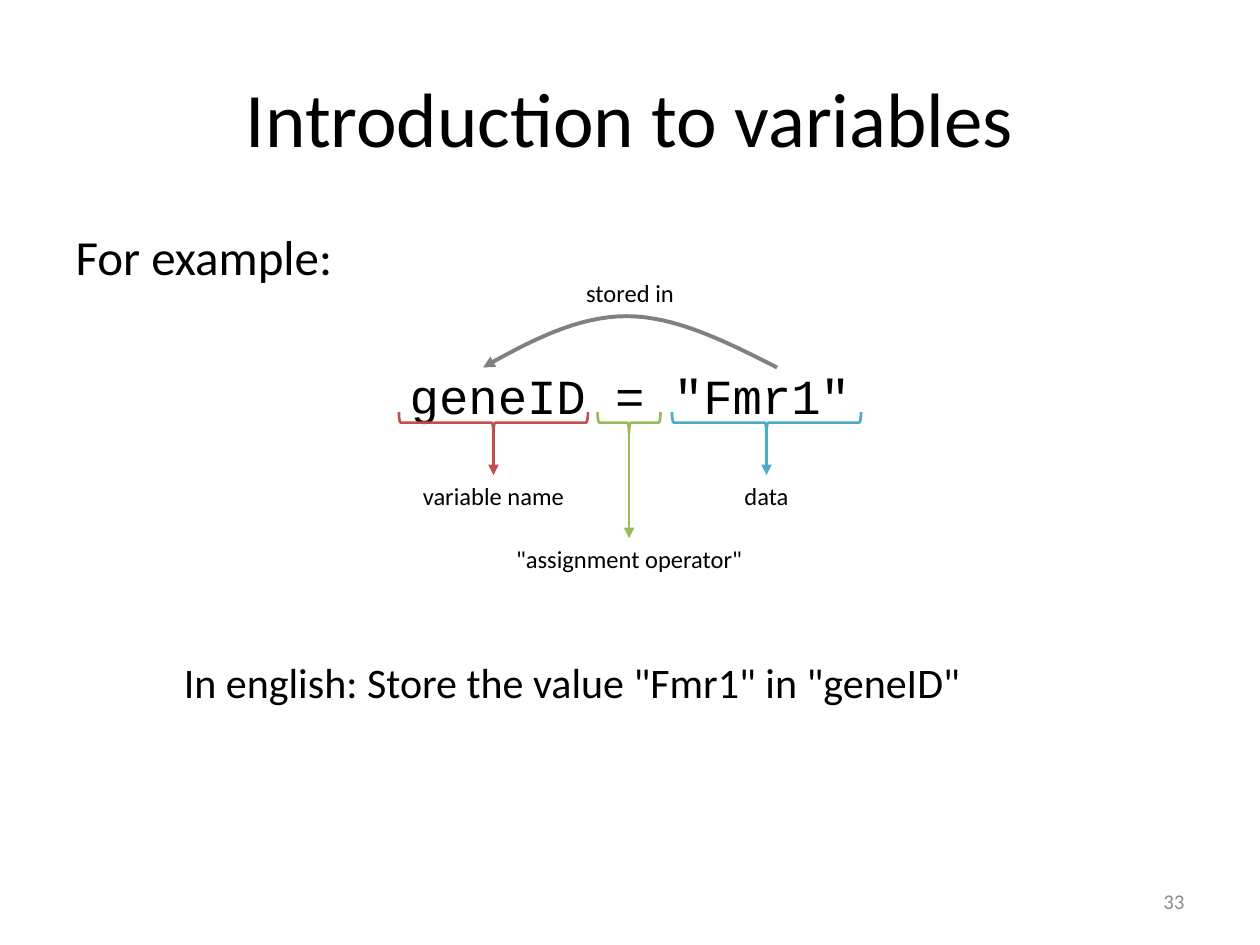
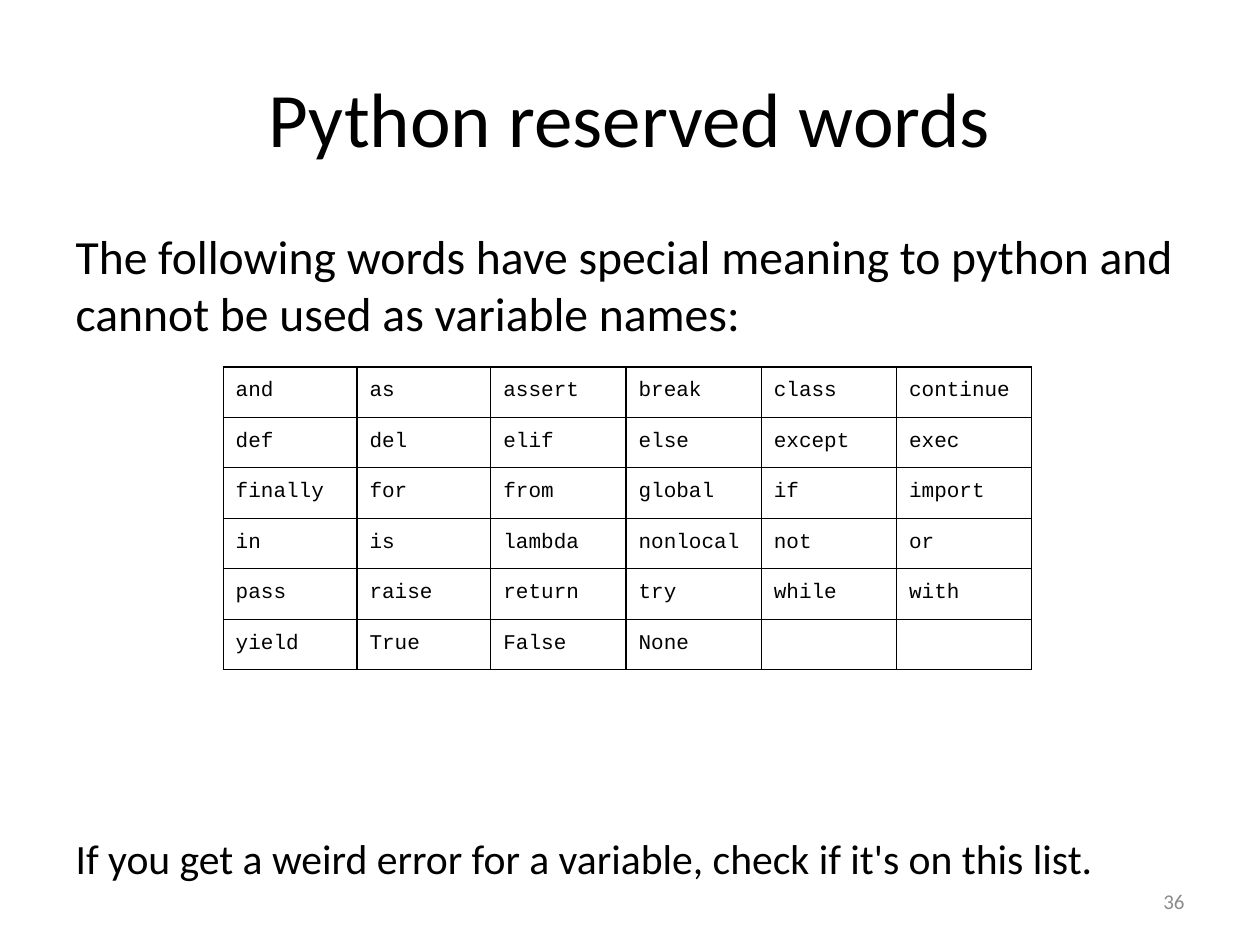
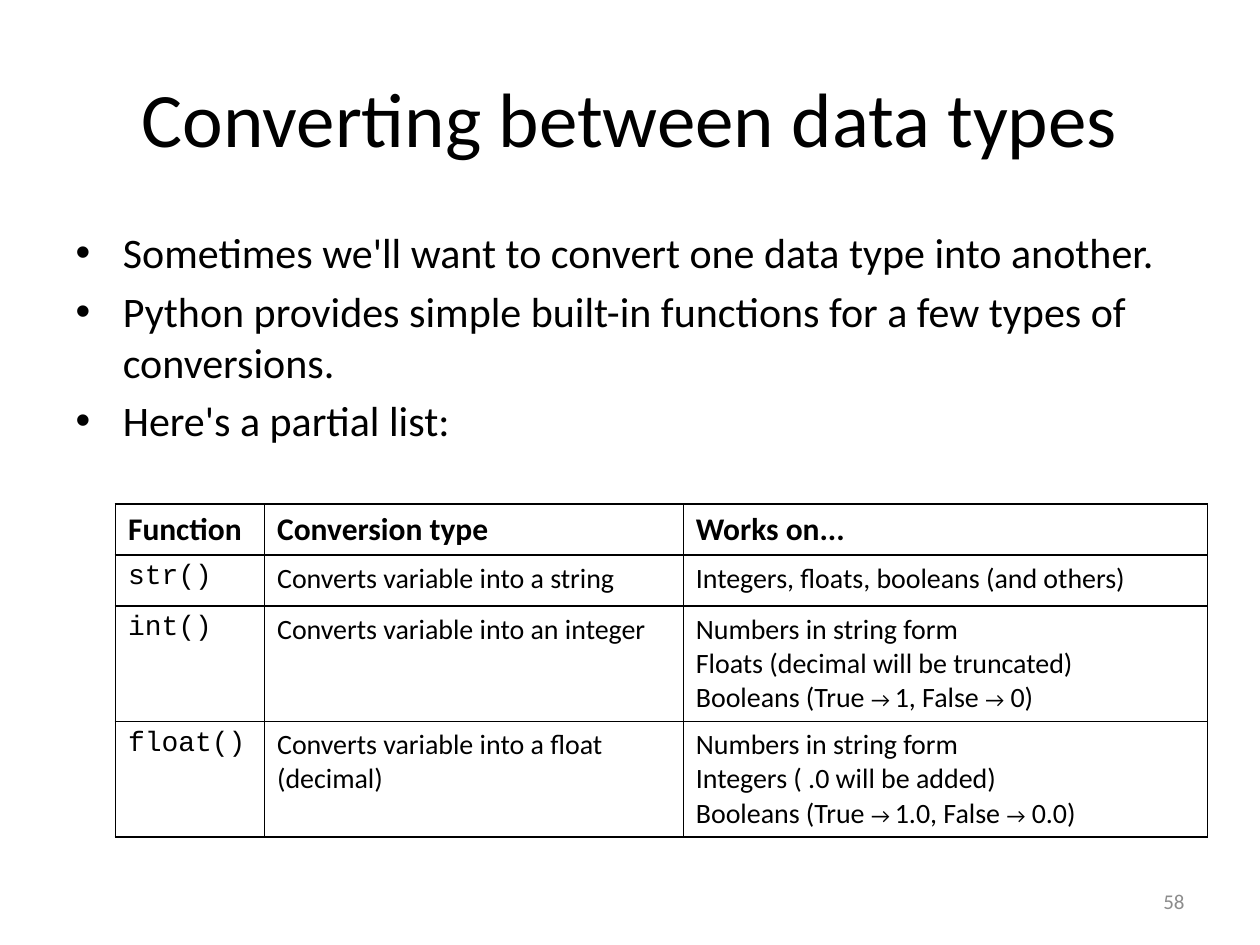
from lxml.etree import SubElement
from pptx import Presentation
from pptx.dml.color import RGBColor
from pptx.enum.shapes import MSO_CONNECTOR, MSO_SHAPE
from pptx.enum.text import MSO_ANCHOR, MSO_AUTO_SIZE, PP_ALIGN
from pptx.oxml.ns import qn
from pptx.util import Pt

LEFT, CENTER, RIGHT = PP_ALIGN.LEFT, PP_ALIGN.CENTER, PP_ALIGN.RIGHT
MIDDLE, NO_FIT = MSO_ANCHOR.MIDDLE, MSO_AUTO_SIZE.NONE
BRACE, STRAIGHT = MSO_SHAPE.LEFT_BRACE, MSO_CONNECTOR.STRAIGHT
BLACK, GRAY, PALE = "000000", "808080", "8C8C8C"
RED, GREEN, BLUE = "C0504D", "9BBB59", "4BACC6"
SANS, MONO = "Calibri", "Courier New"
rgb = RGBColor.from_string


def style(paras, size, font=SANS, hue=BLACK, bold=False):
    for para in paras:
        for run in para.runs:
            run.font.size = Pt(size)
            run.font.name = font
            run.font.bold = bold
            run.font.color.rgb = rgb(hue)


def grid(slide, left, top, cols, rows, weight):
    """Add an unfilled table with black rules around every cell."""
    frame = slide.shapes.add_table(len(rows), len(cols), Pt(left), Pt(top),
                                   Pt(sum(cols)), Pt(sum(rows)))
    table = frame.table
    table.first_row = table.horz_banding = False
    for col, width in zip(table.columns, cols):
        col.width = Pt(width)
    for row, height in zip(table.rows, rows):
        row.height = Pt(height)
    for cell in table.iter_cells():
        props = cell._tc.get_or_add_tcPr()
        for side in ("lnL", "lnR", "lnT", "lnB"):
            rule = SubElement(props, qn("a:" + side), w=str(Pt(weight)))
            fill = SubElement(rule, qn("a:solidFill"))
            SubElement(fill, qn("a:srgbClr"), val=BLACK)
        cell.fill.background()
    return table


prs = Presentation()
prs.slide_width, prs.slide_height = Pt(720), Pt(540)

# Titles, body text and page numbers
# Body lines: text, size, font, alignment, space before (None makes a bullet)
pages = [
    ("Introduction to variables", "33", [
        ("For example:", 28, SANS, LEFT, 5.6),
        ('geneID = "Fmr1"', 28, MONO, CENTER, 45.4)]),
    ("Python reserved words", "36", [
        ("The following words have special meaning to python and "
         "cannot be used as variable names:", 27.2, SANS, LEFT, 5.4),
        ("If you get a weird error for a variable, check if it's on this list.",
         23.8, SANS, LEFT, 281)]),
    ("Converting between data types", "58", [
        ("Sometimes we'll want to convert one data type into another.",
         24, SANS, LEFT, None),
        ("Python provides simple built-in functions for a few types of "
         "conversions.", 24, SANS, LEFT, None),
        ("Here's a partial list:", 24, SANS, LEFT, None)]),
]
for title, number, lines in pages:
    slide = prs.slides.add_slide(prs.slide_layouts[1])
    slide.shapes.title.text_frame.text = title
    style(slide.shapes.title.text_frame.paragraphs, 44)

    body = slide.placeholders[1].text_frame
    body.text = "\n".join(line[0] for line in lines)
    body.auto_size = NO_FIT
    for para, (_, size, font, align, gap) in zip(body.paragraphs, lines):
        style([para], size, font)
        para.alignment = align
        if gap is not None:
            para.space_before = Pt(gap)
            props = para._p.get_or_add_pPr()
            props.set("marL", "0")
            props.set("indent", "0")
            SubElement(props, qn("a:buNone"))

    foot = slide.shapes.add_textbox(Pt(516), Pt(500.5), Pt(168), Pt(28.75)).text_frame
    foot.word_wrap = True
    foot.vertical_anchor = MIDDLE
    foot.text = number
    foot.paragraphs[0].alignment = RIGHT
    style(foot.paragraphs, 12, hue=PALE)

intro, words, types = prs.slides

# Assignment diagram: curved arrow from the data back to the name
right, peak, left, base, crest = 444, 358, 276, 210, 180.7
halves = [
    ((right, base), (414.7, 195.1), (385.9, crest), (peak, crest)),
    ((peak, crest), (329.8, crest), (302.4, 195.1), (left, base)),
]
steps = 16
dots = []
for a, b, c, d in halves:
    for i in range(1, steps + 1):
        t = i / steps
        u = 1 - t
        dots.append([Pt(u**3 * p + 3 * u * u * t * q + 3 * u * t * t * r + t**3 * s)
                     for p, q, r, s in zip(a, b, c, d)])
path = intro.shapes.build_freeform(Pt(right), Pt(base))
path.add_line_segments(dots, close=False)
curve = path.convert_to_shape()
curve.fill.background()
curve.line.color.rgb = rgb(GRAY)
curve.line.width = Pt(2.25)
arrows = [curve]

# Braces with arrows down to their labels
tip, depth = 247.5, 12
labels = [("stored in", 360, 155.5, 65.5, 14),
          ('In english: Store the value "Fmr1" in "geneID"', 326.9, 371.5, 462.2, 24)]
parts = [("variable name", 282, 108, 271.5, 96.5, RED),
         ('"assignment operator"', 359.5, 36, 307.5, 144.7, GREEN),
         ("data", 438, 108, 271.5, 40.3, BLUE)]
for text, mid, span, end, width, hue in parts:
    brace = intro.shapes.add_shape(BRACE, Pt(mid - depth / 2),
                                   Pt(tip - depth / 2 - span / 2), Pt(depth), Pt(span))
    brace.rotation = 270
    brace.shadow.inherit = False
    brace.fill.background()
    arrow = intro.shapes.add_connector(STRAIGHT, Pt(mid), Pt(tip), Pt(mid), Pt(end))
    for mark in (brace, arrow):
        mark.line.color.rgb = rgb(hue)
        mark.line.width = Pt(1.5)
    arrows.append(arrow)
    labels.append((text, mid, end, width, 14))

for arrow in arrows:
    props = arrow._element.spPr
    SubElement(props.find(qn("a:ln")), qn("a:tailEnd"), type="triangle")
    SubElement(props, qn("a:effectLst"))

for text, mid, top, width, size in labels:
    box = intro.shapes.add_textbox(Pt(mid - width / 2), Pt(top), Pt(width), Pt(size + 10.4))
    frame = box.text_frame
    frame.word_wrap = False
    frame.text = text
    frame.paragraphs[0].alignment = CENTER
    style(frame.paragraphs, size)

# Reserved words
names = ("and as assert break class continue def del elif else except exec "
         "finally for from global if import in is lambda nonlocal not or "
         "pass raise return try while with yield True False None").split()
table = grid(words, 127.5, 209.7, [76.5, 76.5, 77.3, 77.3, 77.3, 77.3], [28.55] * 6, 0.75)
for cell, name in zip(table.iter_cells(), names):
    cell.margin_left = cell.margin_right = Pt(7.2)
    cell.margin_top = cell.margin_bottom = Pt(7.2)
    cell.text_frame.text = name
    style(cell.text_frame.paragraphs, 12, MONO)

# Conversion functions; bars part the runs, so that arrows can be smaller
facts = [
    ("Function", "Conversion type", "Works on..."),
    ("str()", "Converts variable into a string",
     "Integers, floats, booleans (and others)"),
    ("int()", "Converts variable into an integer",
     "Numbers in string form\nFloats (decimal will be truncated)\n"
     "Booleans (True |→ |1, False |→| 0)"),
    ("float()", "Converts variable into a float (decimal)",
     "Numbers in string form\nIntegers ( .0 will be added)\n"
     "Booleans (True |→ |1.0, False |→| 0.0)"),
]
table = grid(types, 66, 288, [85.2, 239.3, 299.5], [29.2, 29.2, 66, 66], 1)
for r, fact in enumerate(facts):
    for c, text in enumerate(fact):
        frame = table.cell(r, c).text_frame
        for i, line in enumerate(text.split("\n")):
            para = frame.add_paragraph() if i else frame.paragraphs[0]
            for part in line.split("|"):
                para.add_run().text = part
        head = r == 0
        style(frame.paragraphs, 18 if head else 16,
              MONO if c == 0 and not head else SANS, bold=head)
        for para in frame.paragraphs:
            for run in para.runs:
                if run.text.startswith("→"):
                    run.font.size = Pt(12)

prs.save("out.pptx")
